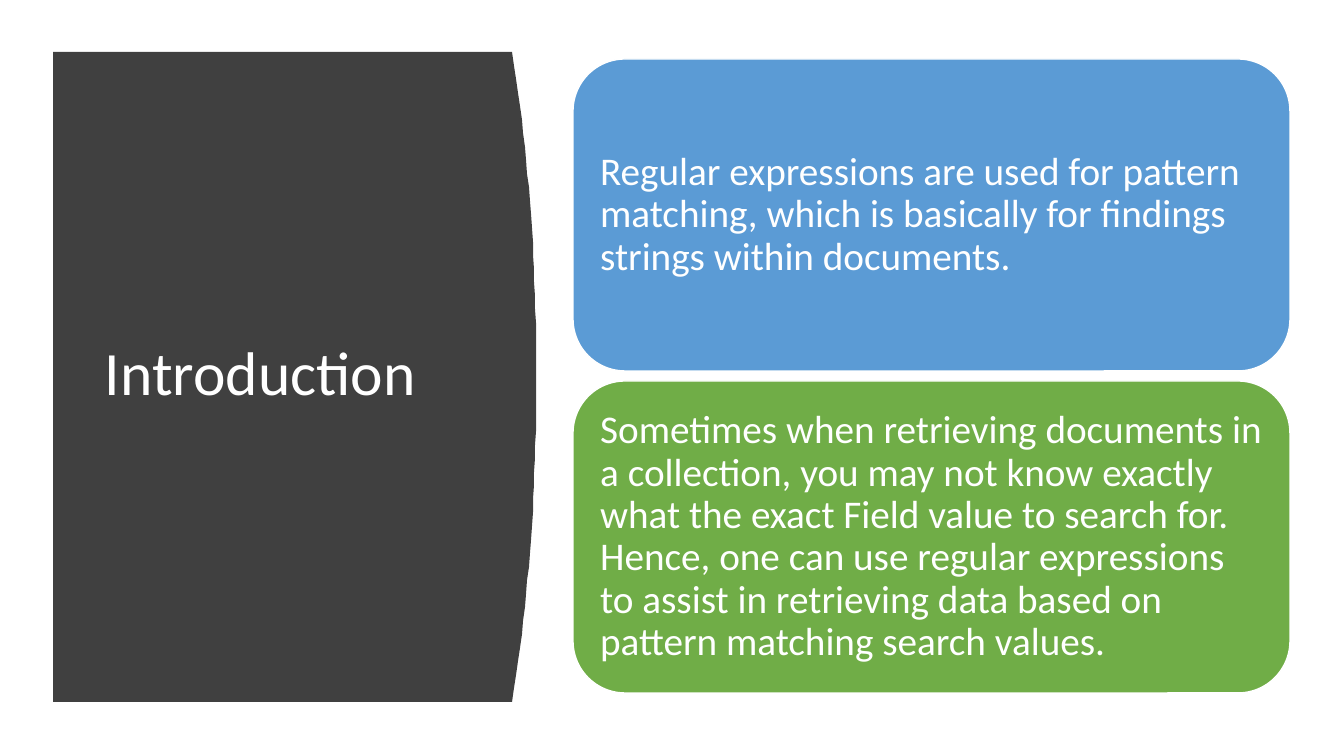
from dataclasses import dataclass

from pptx import Presentation
from pptx.dml.color import RGBColor
from pptx.enum.shapes import MSO_SHAPE as Shape
from pptx.enum.text import MSO_ANCHOR as Anchor, PP_ALIGN as Align
from pptx.util import Emu, Pt

# Content
HEADING = "Introduction"
CARDS = [
    ("Regular expressions are used for pattern matching, which is basically "
     "for findings strings within documents.", "5B9BD5"),
    ("Sometimes when retrieving documents in a collection, you may not know "
     "exactly what the exact Field value to search for. Hence, one can use "
     "regular expressions to assist in retrieving data based on pattern "
     "matching search values.", "70AD47"),
]


@dataclass(frozen=True)
class Theme:
    font: str = "Calibri"
    panel: str = "404040"
    text: str = "FFFFFF"
    edge: str = "FFFFFF"
    heading_size: int = 44
    card_size: int = 28
    spacing: float = 0.9


THEME = Theme()

# Layout in px
SLIDE_W, SLIDE_H = 1344, 756
SCALE = 12192000 / SLIDE_W
PANEL_LEFT, PANEL_TOP, PANEL_BOTTOM = 53, 52, 702
PANEL_CORNER, PANEL_BULGE = 512, 24
CURVE_STEPS, CURVE_POWER = 48, 2.2
HEADING_BOX = (95, 112, 377, 528)
HEADING_INSETS = (10, 5, 10, 5)
CARD_LEFT, CARD_TOP, CARD_W, CARD_H, CARD_GAP = 573, 59, 717, 312, 10
CARD_INSETS = (12, 12, 9, 12)


def px(length):
    return Emu(round(length * SCALE))


def color(value):
    return RGBColor.from_string(value)


def write(shape, text, size, insets):
    frame = shape.text_frame
    frame.word_wrap = True
    frame.vertical_anchor = Anchor.MIDDLE
    (frame.margin_left, frame.margin_top,
     frame.margin_right, frame.margin_bottom) = map(px, insets)
    paragraph = frame.paragraphs[0]
    paragraph.alignment = Align.LEFT
    paragraph.line_spacing = THEME.spacing
    run = paragraph.add_run()
    run.text = text
    run.font.name = THEME.font
    run.font.size = Pt(size)
    run.font.color.rgb = color(THEME.text)


def add_panel(slide):
    middle = (PANEL_TOP + PANEL_BOTTOM) / 2
    half = (PANEL_BOTTOM - PANEL_TOP) / 2
    curve = []
    for step in range(CURVE_STEPS + 1):
        offset = 2 * step / CURVE_STEPS - 1
        bulge = PANEL_BULGE * (1 - abs(offset) ** CURVE_POWER)
        curve.append((PANEL_CORNER + bulge, middle + half * offset))
    outline = slide.shapes.build_freeform(PANEL_LEFT, PANEL_TOP, scale=SCALE)
    outline.add_line_segments(curve + [(PANEL_LEFT, PANEL_BOTTOM)], close=True)
    panel = outline.convert_to_shape()
    panel.shadow.inherit = False
    panel.fill.solid()
    panel.fill.fore_color.rgb = color(THEME.panel)
    panel.line.fill.background()


def add_card(slide, index, text, fill):
    top = CARD_TOP + index * (CARD_H + CARD_GAP)
    card = slide.shapes.add_shape(
        Shape.ROUNDED_RECTANGLE, *map(px, (CARD_LEFT, top, CARD_W, CARD_H)))
    card.shadow.inherit = False
    card.fill.solid()
    card.fill.fore_color.rgb = color(fill)
    card.line.color.rgb = color(THEME.edge)
    card.line.width = Pt(1)
    write(card, text, THEME.card_size, CARD_INSETS)


def main():
    deck = Presentation()
    deck.slide_width, deck.slide_height = px(SLIDE_W), px(SLIDE_H)
    slide = deck.slides.add_slide(deck.slide_layouts[6])

    # Dark panel with its heading
    add_panel(slide)
    heading = slide.shapes.add_textbox(*map(px, HEADING_BOX))
    write(heading, HEADING, THEME.heading_size, HEADING_INSETS)

    # Stacked cards
    for index, (text, fill) in enumerate(CARDS):
        add_card(slide, index, text, fill)

    deck.save("out.pptx")


if __name__ == "__main__":
    main()
